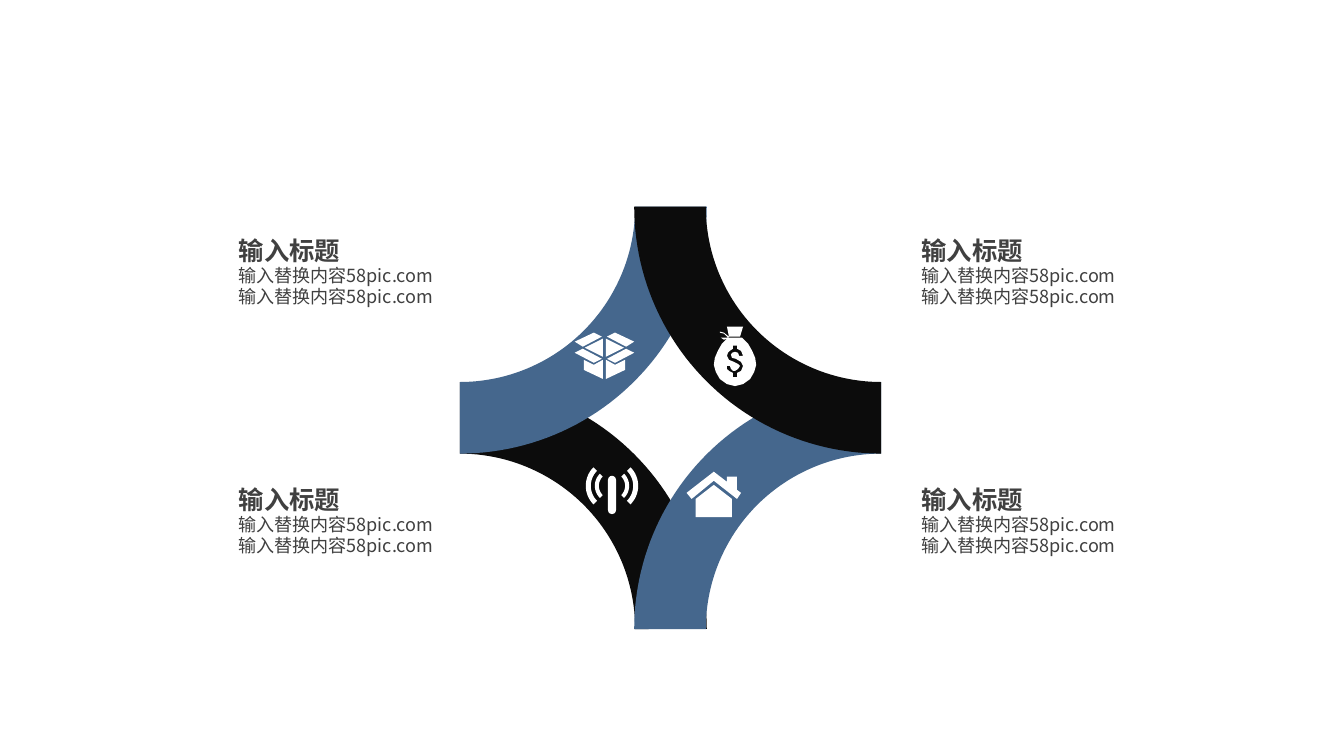
from math import cos, sin, radians
from pptx import Presentation
from pptx.dml.color import RGBColor
from pptx.enum.shapes import MSO_SHAPE as Shape
from pptx.enum.text import MSO_ANCHOR as Anchor
from pptx.util import Inches, Pt

BLACK, BLUE, WHITE, GREY = "0C0C0C", "45678D", "FFFFFF", "404040"
FONT = "Noto Sans CJK SC"

deck = Presentation()
deck.slide_width, deck.slide_height = Inches(13.33), Inches(7.5)
slide = deck.slides.add_slide(deck.slide_layouts[6])
shapes = slide.shapes


def ring(x, y, small, large, start, end, steps=48):
    """Outline of a part of a ring, angles in degrees, clockwise from the right."""
    turns = [radians(start + (end - start) * i / steps) for i in range(steps + 1)]
    outer = [(x + large * cos(t), y + large * sin(t)) for t in turns]
    inner = [(x + small * cos(t), y + small * sin(t)) for t in reversed(turns)]
    return outer + inner


def draw(parts, color):
    """One filled shape made of closed outlines, or a ready shape to fill."""
    shape = parts
    if isinstance(parts, list):
        build = None
        for part in parts:
            dots = [(Inches(x), Inches(y)) for x, y in part]
            if build is None:
                build = shapes.build_freeform(*dots[0])
            else:
                build.move_to(*dots[0])
            build.add_line_segments(dots[1:], close=True)
        shape = build.convert_to_shape()
    shape.shadow.inherit = False
    shape.fill.solid()
    shape.fill.fore_color.rgb = RGBColor.from_string(color)
    shape.line.fill.background()


# Four quarter rings around the corners of a square
left, right, top, base = 4.56, 8.74, 2.05, 6.24
for x, y, start, color in [
    (left, base, 270, BLACK),
    (left, top, 0, BLUE),
    (right, base, 180, BLUE),
    (right, top, 90, BLACK),
]:
    draw([ring(x, y, 1.74, 2.45, start, start + 90)], color)

# Open box, left half and its mirror
half = [
    [(5.8, 3.45), (5.98, 3.36), (5.98, 3.54)],
    [(5.97, 3.34), (5.89, 3.3), (5.7, 3.39), (5.78, 3.44)],
    [(5.97, 3.56), (5.78, 3.46), (5.7, 3.5), (5.89, 3.6)],
    [(5.79, 3.57), (5.89, 3.62), (5.98, 3.57), (5.98, 3.76), (5.79, 3.67)],
]
draw(half + [[(11.99 - x, y) for x, y in part] for part in half], WHITE)

# Money bag: knot, string, sack and the dollar cut out of it
knot = [(7.21, 3.24), (7.37, 3.24), (7.34, 3.34), (7.23, 3.34)]
string = [(7.23, 3.34), (7.18, 3.3), (7.14, 3.29), (7.14, 3.3), (7.18, 3.31),
          (7.22, 3.35), (7.15, 3.35), (7.18, 3.37), (7.21, 3.36)]
side = [(7.22, 3.35), (7.16, 3.41), (7.12, 3.48), (7.09, 3.55), (7.08, 3.62),
        (7.1, 3.69), (7.14, 3.76), (7.21, 3.81), (7.29, 3.83)]
sack = side + [(14.58 - x, y) for x, y in reversed(side[:-1])]
dollar = [
    (7.35, 3.68), (7.31, 3.7), (7.31, 3.74), (7.27, 3.74), (7.27, 3.7),
    (7.23, 3.68), (7.21, 3.66), (7.21, 3.63), (7.24, 3.63), (7.25, 3.66),
    (7.27, 3.68), (7.29, 3.68), (7.32, 3.66), (7.34, 3.63), (7.32, 3.61),
    (7.28, 3.59), (7.23, 3.57), (7.21, 3.53), (7.22, 3.5), (7.24, 3.48),
    (7.27, 3.46), (7.27, 3.43), (7.31, 3.43), (7.31, 3.46), (7.35, 3.48),
    (7.37, 3.53), (7.33, 3.53), (7.32, 3.5), (7.29, 3.49), (7.26, 3.5),
    (7.25, 3.52), (7.26, 3.55), (7.3, 3.56), (7.35, 3.59), (7.37, 3.63),
]
draw([knot, string, sack, dollar], WHITE)

# Antenna: two waves on each side of a rod
draw([ring(6.07, 4.82, small, large, mid - 45, mid + 45, 16)
      for mid in (0, 180) for small, large in [(0.13, 0.17), (0.21, 0.26)]], WHITE)
rod = shapes.add_shape(Shape.ROUNDED_RECTANGLE, Inches(6.03), Inches(4.72),
                       Inches(0.08), Inches(0.38))
rod.adjustments[0] = 0.5
draw(rod, WHITE)

# House: walls, then roof with chimney
draw([[(6.9, 4.95), (6.9, 5.13), (7.26, 5.13), (7.26, 4.95), (7.08, 4.81)]], WHITE)
draw([[(7.31, 4.86), (7.31, 4.73), (7.21, 4.73), (7.21, 4.78), (7.08, 4.68),
       (6.81, 4.89), (6.86, 4.95), (7.08, 4.77), (7.31, 4.95), (7.35, 4.89)]], WHITE)

# Title and body beside each band
for x in (2.16, 8.93):
    for y in (2.35, 4.82):
        for words, down, wide, high, size, bold, anchor in [
            ("输入标题", 0, 2.83, 0.27, 18.1, True, Anchor.MIDDLE),
            ("输入替换内容58pic.com" * 2, 0.27, 2.43, 0.59, 12.9, False, Anchor.TOP),
        ]:
            box = shapes.add_textbox(Inches(x), Inches(y + down), Inches(wide), Inches(high))
            frame = box.text_frame
            frame.word_wrap = True
            frame.vertical_anchor = anchor
            frame.margin_left = frame.margin_right = Inches(0.21)
            frame.margin_top = frame.margin_bottom = 0
            run = frame.paragraphs[0].add_run()
            run.text = words
            run.font.name, run.font.size, run.font.bold = FONT, Pt(size), bold
            run.font.color.rgb = RGBColor.from_string(GREY)

deck.save("out.pptx")
